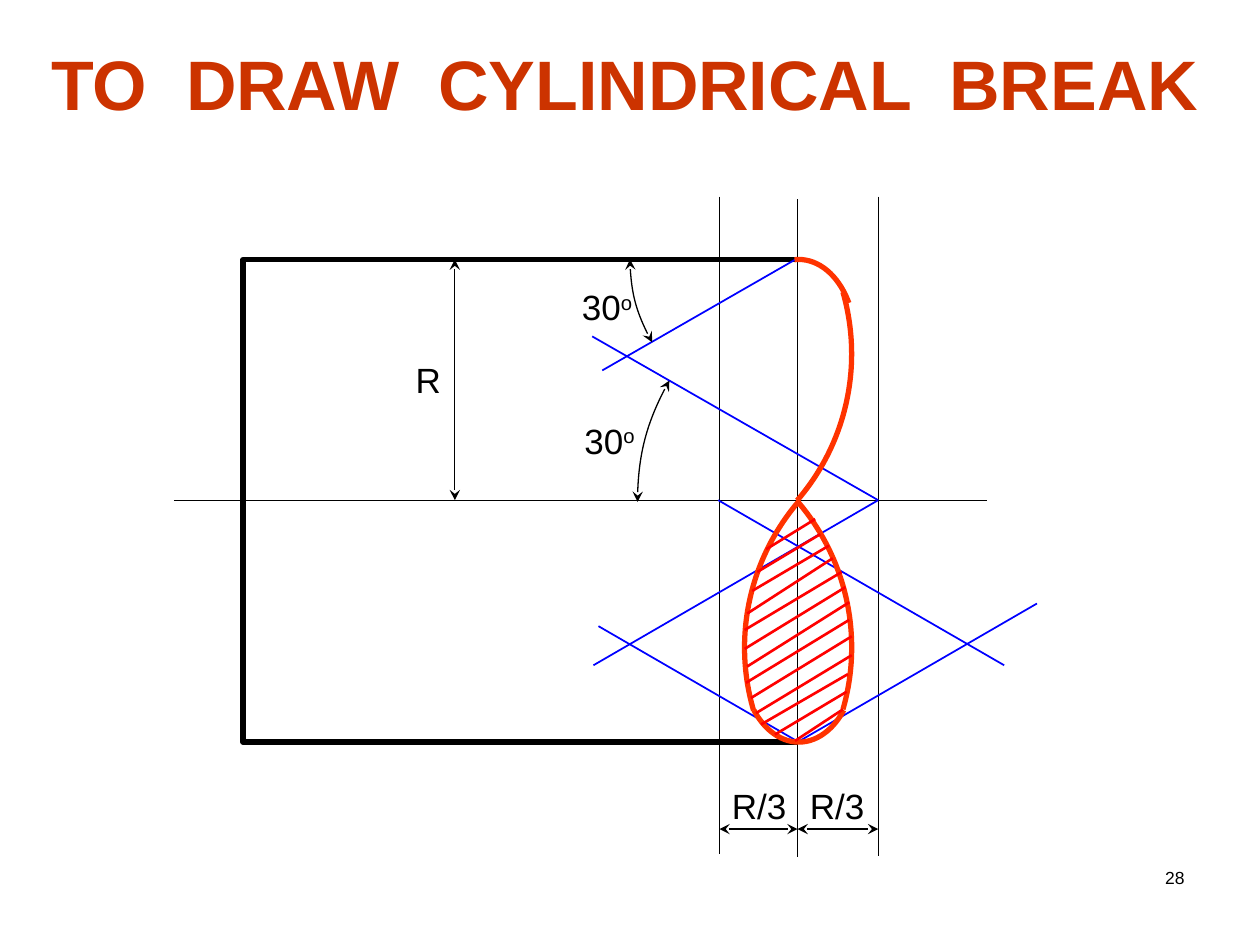
from dataclasses import dataclass

from lxml import etree
from pptx import Presentation
from pptx import util as u
from pptx.dml.color import RGBColor
from pptx.enum import shapes, text
from pptx.oxml import ns


@dataclass(frozen=True)
class Theme:
    font: str = "Arial"
    title: str = "CC3300"
    ink: str = "000000"
    construction: str = "0000FF"
    curve: str = "FF3300"
    hatch: str = "FF0000"
    title_size: int = 40
    label_size: int = 20
    number_size: int = 10
    thin: float = 0.75
    guide: float = 1
    medium: float = 1.5
    bold: float = 3


def write(para, words, *, theme, size, color, bold=False, raised=False):
    span = para.add_run()
    span.text = words
    span.font.name = theme.font
    span.font.size = u.Pt(size)
    span.font.bold = bold
    span.font.color.rgb = RGBColor.from_string(color)
    if raised:
        span.font._element.set("baseline", "30000")


class Drawing:
    def __init__(self, slide, theme):
        self.slide = slide
        self.theme = theme

    def stroke(self, shape, color, width, arrows=False):
        shape.line.color.rgb = RGBColor.from_string(color)
        shape.line.width = u.Pt(width)
        if arrows:
            outline = shape.line._get_or_add_ln()
            for end in ("headEnd", "tailEnd"):
                etree.SubElement(outline, ns.qn(f"a:{end}"), type="stealth")

    def line(self, start, end, color, width, arrows=False):
        points = [u.Inches(value) for value in (*start, *end)]
        line = self.slide.shapes.add_connector(shapes.MSO_CONNECTOR.STRAIGHT, *points)
        self.stroke(line, color, width, arrows)
        etree.SubElement(line._element.spPr, ns.qn("a:effectLst"))

    def outline(self, points, color, width):
        corners = [(u.Inches(x), u.Inches(y)) for x, y in points]
        builder = self.slide.shapes.build_freeform(*corners[0])
        builder.add_line_segments(corners[1:], close=False)
        shape = builder.convert_to_shape()
        shape.shadow.inherit = False
        shape.fill.background()
        self.stroke(shape, color, width)

    def arc(self, center, radii, angles, color, width, arrows=False):
        (x, y), (across, down) = center, radii
        frame = [u.Inches(value) for value in (x - across, y - down, 2 * across, 2 * down)]
        shape = self.slide.shapes.add_shape(shapes.MSO_SHAPE.ARC, *frame)
        for index, degrees in enumerate(angles):
            shape.adjustments[index] = degrees % 360 * 0.6
        shape.shadow.inherit = False
        shape.fill.background()
        self.stroke(shape, color, width, arrows)

    def label(self, frame, words, size, color, bold=False, raised="", wrap=False, align=None):
        box = self.slide.shapes.add_textbox(*[u.Inches(value) for value in frame])
        box.text_frame.word_wrap = wrap
        if not wrap:
            box.text_frame.auto_size = text.MSO_AUTO_SIZE.SHAPE_TO_FIT_TEXT
        para = box.text_frame.paragraphs[0]
        para.alignment = align
        style = dict(theme=self.theme, size=size, color=color, bold=bold)
        write(para, words, **style)
        if raised:
            write(para, raised, raised=True, **style)


AXIS_X, AXIS_Y = 6.33, 3.97
TOP, BOTTOM, LEFT = 2.06, 5.89, 1.93
THIRD_LEFT, THIRD_RIGHT = 5.71, 6.97

CONSTRUCTION = [
    ((AXIS_X, 2.05), (4.78, 2.94)),
    ((THIRD_RIGHT, AXIS_Y), (4.7, 2.67)),
    ((6.34, BOTTOM), (4.75, 4.97)),
    ((THIRD_RIGHT, AXIS_Y), (4.71, 5.28)),
    ((AXIS_X, BOTTOM), (8.23, 4.79)),
    ((5.7, AXIS_Y), (7.97, 5.28)),
]
BREAK_ARCS = [
    ((4.98, 2.81), (1.78, 1.78), (-16, 40.8)),
    ((6.34, 2.71), (0.45, 0.65), (-93, -37.5)),
    ((4.98, 5.14), (1.78, 1.78), (-40.8, 16)),
    ((7.69, 5.14), (1.78, 1.78), (163.7, 220.7)),
    ((6.34, 5.24), (0.45, 0.65), (48, 132)),
]
HATCHING = [
    ((6.08, 4.36), (6.47, 4.12)),
    ((6.01, 4.54), (6.51, 4.24)),
    ((5.97, 4.69), (6.58, 4.33)),
    ((5.93, 4.87), (6.61, 4.43)),
    ((5.91, 5), (6.68, 4.54)),
    ((5.91, 5.15), (6.71, 4.66)),
    ((5.93, 5.29), (6.74, 4.78)),
    ((5.92, 5.42), (6.74, 4.92)),
    ((5.96, 5.54), (6.76, 5.05)),
    ((6, 5.66), (6.76, 5.2)),
    ((6.04, 5.75), (6.73, 5.35)),
    ((6.15, 5.83), (6.72, 5.49)),
    ((6.31, 5.88), (6.69, 5.63)),
]
ANGLES = [
    ((6.35, 2.05), 1.35, (150.4, 179.6), (4.52, 2.22)),
    ((6.97, 3.97), 1.91, (179.6, 209.8), (4.54, 3.28)),
]


def main():
    theme = Theme()
    deck = Presentation()
    deck.slide_width, deck.slide_height = u.Inches(10), u.Inches(7.5)
    drawing = Drawing(deck.slides.add_slide(deck.slide_layouts[6]), theme)

    cylinder = [(AXIS_X, TOP), (LEFT, TOP), (LEFT, BOTTOM), (AXIS_X, BOTTOM)]
    drawing.outline(cylinder, theme.ink, theme.bold)
    for x, top, bottom in ((AXIS_X, 1.58, 6.8), (THIRD_RIGHT, 1.56, 6.79), (THIRD_LEFT, 1.56, 6.78)):
        drawing.line((x, top), (x, bottom), theme.ink, theme.thin)
    drawing.line((1.38, AXIS_Y), (7.83, AXIS_Y), theme.ink, theme.thin)

    for start, end in CONSTRUCTION:
        drawing.line(start, end, theme.construction, theme.guide)
    for center, radii, angles in BREAK_ARCS:
        drawing.arc(center, radii, angles, theme.curve, theme.bold)

    drawing.label((0.31, 0.27, 9.35, 0.77), "TO  DRAW  CYLINDRICAL  BREAK",
                  theme.title_size, theme.title, bold=True)

    drawing.line((3.61, TOP), (3.61, AXIS_Y), theme.ink, theme.thin, arrows=True)
    drawing.label((3.2, 2.8, 0.4, 0.44), "R", theme.label_size, theme.ink)
    for start, end in ((THIRD_LEFT, AXIS_X), (AXIS_X, THIRD_RIGHT)):
        drawing.label((start, 6.18, 0.63, 0.44), "R/3", theme.label_size, theme.ink)
        drawing.line((start, 6.58), (end, 6.58), theme.ink, theme.thin, arrows=True)
    for center, radius, angles, corner in ANGLES:
        drawing.arc(center, (radius, radius), angles, theme.ink, theme.thin, arrows=True)
        drawing.label((*corner, 0.6, 0.44), "30", theme.label_size, theme.ink, raised="o")

    for start, end in HATCHING:
        drawing.line(start, end, theme.hatch, theme.medium)
    drawing.label((7.17, 6.83, 2.33, 0.5), "28", theme.number_size, theme.ink,
                  wrap=True, align=text.PP_ALIGN.RIGHT)
    deck.save("out.pptx")


if __name__ == "__main__":
    main()
